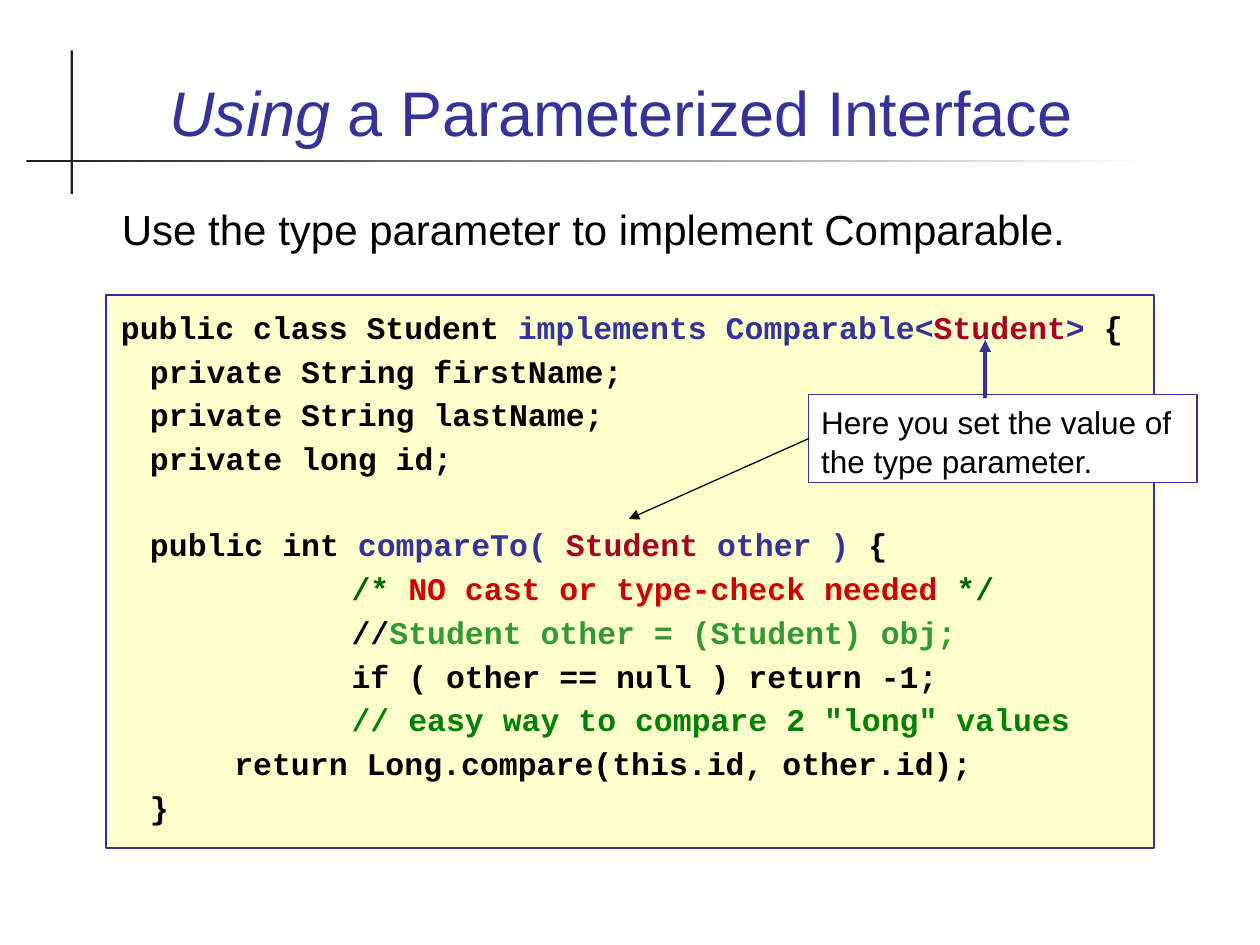
from pptx import Presentation
from pptx.dml.color import RGBColor
from pptx.enum.shapes import MSO_CONNECTOR as LINE, MSO_SHAPE as SHAPE
from pptx.enum.text import MSO_ANCHOR as ANCHOR, MSO_AUTO_SIZE as FIT, PP_ALIGN as ALIGN
from pptx.oxml.xmlchemy import OxmlElement
from pptx.util import Pt

rgb = RGBColor.from_string
INK, NAVY, WINE, GREEN = "000000", "333399", "A50021", "006600"


def set_frame(shape, box, **values):
    for name, length in zip(("left", "top", "width", "height"), box):
        setattr(shape, name, Pt(length))
    defaults = {"word_wrap": True, "auto_size": FIT.NONE, "vertical_anchor": ANCHOR.TOP,
                "margin_left": Pt(7.2), "margin_right": Pt(7.2),
                "margin_top": Pt(3.6), "margin_bottom": Pt(3.6)}
    for name, value in {**defaults, **values}.items():
        setattr(shape.text_frame, name, value)
    return shape.text_frame


def write(paragraph, pieces, **font_values):
    for text, color in pieces:
        run = paragraph.add_run()
        run.text = text
        run.font.color.rgb = rgb(color)
        for name, value in font_values.items():
            setattr(run.font, name, value)


prs = Presentation()
prs.slide_width, prs.slide_height = Pt(720), Pt(540)
slide = prs.slides.add_slide(prs.slide_layouts[1])
shapes = slide.shapes

underline = shapes.add_shape(SHAPE.RECTANGLE, Pt(15.1), Pt(91.4), Pt(646.6), Pt(1.4))
underline.fill.gradient()
underline.fill.gradient_angle = 0
for stop, color in zip(underline.fill.gradient_stops, ("1C1C1C", "FFFFFF")):
    stop.color.rgb = rgb(color)
upright = shapes.add_shape(SHAPE.RECTANGLE, Pt(40.3), Pt(28.8), Pt(1.4), Pt(82.1))
upright.fill.solid()
upright.fill.fore_color.rgb = rgb("1C1C1C")
for rule in (underline, upright):
    rule.line.fill.background()
    rule.shadow.inherit = False

title = set_frame(shapes.title, (48.2, 20.2, 623.5, 68.4),
                  vertical_anchor=ANCHOR.BOTTOM, margin_right=Pt(17.2)).paragraphs[0]
title.alignment = ALIGN.CENTER
write(title, [("Using", NAVY)], name="Arial", size=Pt(36), italic=True)
write(title, [(" a Parameterized Interface", NAVY)], name="Arial", size=Pt(36), italic=False)

code_box = slide.placeholders[1]
code_box.fill.solid()
code_box.fill.fore_color.rgb = rgb("FFFFCC")
code_box.line.color.rgb = rgb(NAVY)
code_box.line.width = Pt(1.5)
code = set_frame(code_box, (60.5, 168.5, 599, 316), margin_top=Pt(6.2))

OUTER, MEMBER, RETURN, BODY = 1.4, 18, 66.2, 133.2
LINE_GAP, BLANK_LINE = 2.4, 26.2
code_lines = [
    (OUTER, 0, [("public class Student ", INK), ("implements Comparable<", NAVY),
                ("Student", WINE), (">", NAVY), (" {", INK)]),
    (MEMBER, LINE_GAP, [("private String firstName;", INK)]),
    (MEMBER, LINE_GAP, [("private String lastName;", INK)]),
    (MEMBER, LINE_GAP, [("private long id;", INK)]),
    (MEMBER, BLANK_LINE, [("public int ", INK), ("compareTo( ", NAVY), ("Student", WINE),
                          (" other )", NAVY), (" {", INK)]),
    (BODY, LINE_GAP, [("/* ", GREEN), ("NO cast or type-check needed", "CC0000"), (" */", GREEN)]),
    (BODY, LINE_GAP, [("//", INK), ("Student other = (Student) obj;", "339933")]),
    (BODY, LINE_GAP, [("if ( other == null ) return -1;", INK)]),
    (BODY, LINE_GAP, [('// easy way to compare 2 "long" values', "008000")]),
    (RETURN, LINE_GAP, [("return Long.compare(this.id, other.id);", INK)]),
    (MEMBER, LINE_GAP, [("}", INK)]),
]
for number, (indent, gap, pieces) in enumerate(code_lines):
    code_line = code.add_paragraph() if number else code.paragraphs[0]
    properties = code_line._p.get_or_add_pPr()
    properties.set("marL", str(Pt(indent)))
    properties.set("indent", "0")
    properties.append(OxmlElement("a:buNone"))
    code_line.line_spacing = 1.05
    code_line.space_before = Pt(gap)
    write(code_line, pieces, name="Courier New", size=Pt(18), bold=True)

intro_box = shapes.add_textbox(0, 0, 0, 0)
intro = set_frame(intro_box, (62.6, 111.6, 594.7, 36)).paragraphs[0]
intro.line_spacing = 1.05
write(intro, [("Use the type parameter to implement Comparable.", INK)], name="Arial", size=Pt(24))

callout = shapes.add_shape(SHAPE.RECTANGLE, 0, 0, 0, 0)
callout.shadow.inherit = False
callout.fill.solid()
callout.fill.fore_color.rgb = rgb("FFFFFF")
callout.line.color.rgb = rgb(NAVY)
callout.line.width = Pt(0.75)
hint = set_frame(callout, (462.2, 225.4, 221.8, 50.4)).paragraphs[0]
hint.alignment = ALIGN.LEFT
hint.line_spacing = 1.05
write(hint, [("Here you set the value of the type parameter.", INK)], name="Arial", size=Pt(18))

arrows = []
for ends, color, width in [((563, 227.5, 563, 194.4), NAVY, 2.25),
                           ((462.2, 250.6, 359.3, 296.6), INK, 0.75)]:
    arrow = shapes.add_connector(LINE.STRAIGHT, *map(Pt, ends))
    arrow.line.color.rgb = rgb(color)
    arrow.line.width = Pt(width)
    head = OxmlElement("a:tailEnd")
    head.set("type", "triangle")
    arrow.line._get_or_add_ln().append(head)
    arrow._element.spPr.append(OxmlElement("a:effectLst"))
    arrows.append(arrow)
to_type_argument, to_parameter = arrows
to_parameter.begin_connect(callout, 1)

prs.save("out.pptx")
